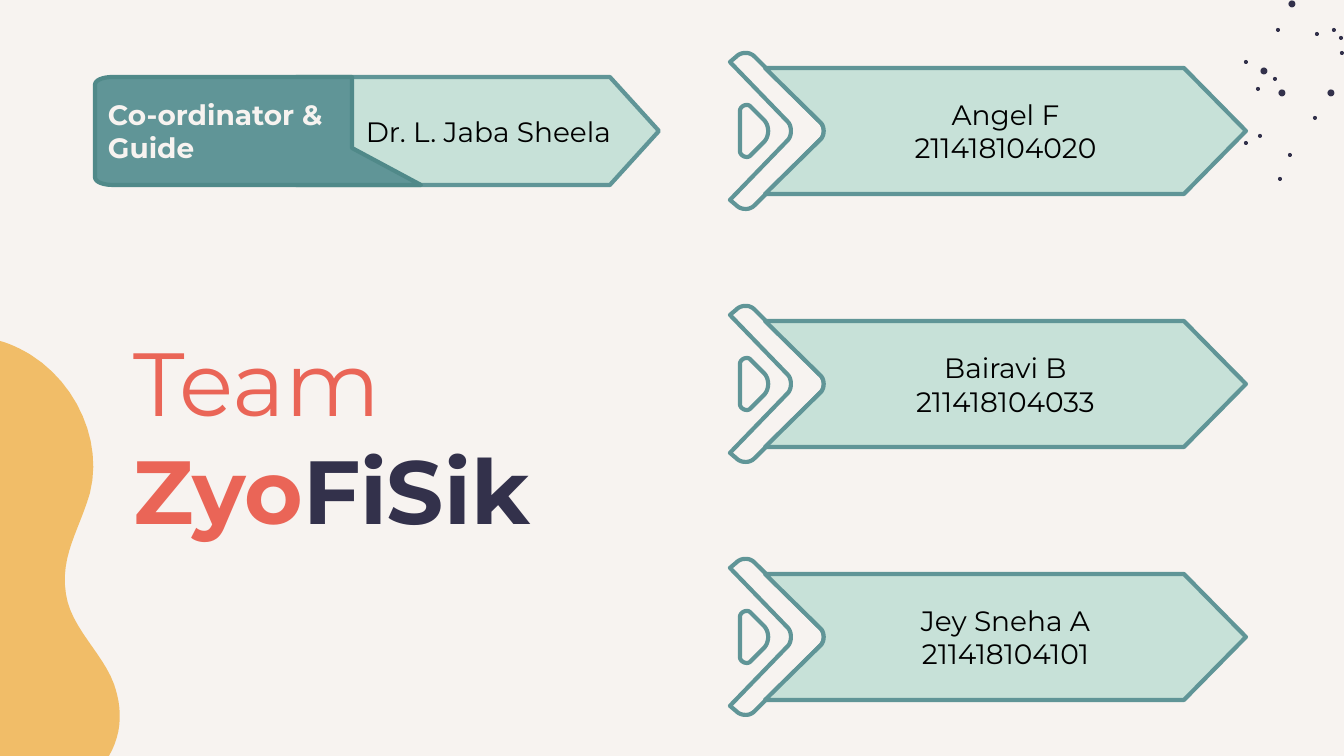
"""Build the team slide with its guide banner and three member badges."""
import pptx
import pptx.util
import pptx.dml.color
import pptx.enum.shapes
import pptx.enum.text

SCALE = 914400 / 134.4
WIDE, HIGH = 1344, 756
THEME = {
    "font": "Montserrat", "body": 15, "title": 48, "line": 2.25,
    "paper": "F7F3F0", "navy": "33314B", "coral": "EA6557", "sand": "F1BD68",
    "mint": "C7E1D8", "teal": "609597", "deep": "508989", "ink": "000000",
}

MEMBERS = [
    ("Angel F", "211418104020"),
    ("Bairavi B", "211418104033"),
    ("Jey Sneha A", "211418104101"),
]
GUIDE = ["Dr. L. Jaba Sheela"]
ROLE = ["Co-ordinator &", "Guide"]
TITLE = [[("Team", "coral")], [("Zyo", "coral"), ("FiSik", "navy")]]
TITLE_BOX = (120, 314, 597, 245)

DOTS = {
    4: [(1290, 155), (1280, 179), (1315, 118), (1246, 62), (1258, 89),
        (1275, 79), (1260, 136), (1246, 143), (1278, 30), (1342, 53),
        (1341, 38), (1334, 30), (1317, 34)],
    7: [(1331, 93), (1282, 93), (1264, 71), (1292, 4)],
}

# Two numbers draw a line to a point, six draw a cubic curve.
BLOB = [(0, 341), (11, 344, 21, 349, 31, 355), (77, 384, 103, 442, 90, 493),
        (79, 531, 60, 556, 66, 594), (71, 628, 102, 652, 114, 684),
        (122, 707, 123, 732, 109, 756), (0, 756)]
CHEVRON = [(746, -78), (742, -78, 739, -77, 736, -74), (730, -69), (788, -9),
           (792, -5, 792, 5, 788, 9), (730, 69), (736, 74),
           (739, 77, 742, 78, 746, 78), (749, 78, 752, 77, 755, 74), (820, 9),
           (825, 5, 825, -5, 820, -9), (755, -74),
           (752, -77, 749, -78, 746, -78)]
DROP = [(747, -26), (743, -26, 740, -23, 740, -20), (740, 20),
        (740, 23, 743, 26, 747, 26), (749, 26, 750, 25, 751, 24), (763, 12),
        (770, 6, 770, -6, 763, -12), (751, -24),
        (750, -25, 749, -26, 747, -26)]
ARROW = [(765, -63), (820, -9), (825, -5, 825, 5, 820, 9), (765, 63),
         (1184, 63), (1246, 0), (1184, -63)]
BANNER = [(296, -54), (336, -8), (340, -3, 340, 3, 336, 8), (296, 54),
          (610, 54), (659, 0), (610, -54)]
TAG = [(113, -54), (103, -54, 95, -51, 95, -46), (95, 46),
       (95, 51, 103, 54, 113, 54), (421, 54), (352, 17), (352, -54)]
MID, STEP, PAD = 131, 253, 13


def px(size):
    return pptx.util.Emu(round(size * SCALE))


def tint(name):
    return pptx.dml.color.RGBColor.from_string(THEME[name])


def paint(shape, fill=None, line=None):
    shape.shadow.inherit = False
    if fill:
        shape.fill.solid()
        shape.fill.fore_color.rgb = tint(fill)
    else:
        shape.fill.background()
    if line:
        shape.line.color.rgb = tint(line)
        shape.line.width = pptx.util.Pt(THEME["line"])
    else:
        shape.line.fill.background()


def curve(start, bend, steps=12):
    ends = [start, bend[:2], bend[2:4], bend[4:]]
    for i in range(1, steps + 1):
        t = i / steps
        mix = ((1 - t) ** 3, 3 * t * (1 - t) ** 2, 3 * t * t * (1 - t), t ** 3)
        yield tuple(sum(m * p[k] for m, p in zip(mix, ends)) for k in (0, 1))


def draw(shapes, trace, drop=0, fill=None, line=None):
    dots = [trace[0]]
    for part in trace[1:]:
        dots.extend([part] if len(part) == 2 else curve(dots[-1], part))
    dots = [(px(x), px(y + drop)) for x, y in dots]
    pen = shapes.build_freeform(*dots[0], scale=1.0)
    pen.add_line_segments(dots[1:], close=True)
    shape = pen.convert_to_shape()
    paint(shape, fill, line)
    return shape


def write(shape, rows, size, align="LEFT", anchor="MIDDLE", left=PAD, bold=()):
    frame = shape.text_frame
    frame.word_wrap = True
    frame.vertical_anchor = getattr(pptx.enum.text.MSO_ANCHOR, anchor)
    frame.margin_left = px(left)
    frame.margin_right = frame.margin_top = frame.margin_bottom = px(PAD)
    for i, row in enumerate(rows):
        para = frame.add_paragraph() if i else frame.paragraphs[0]
        para.alignment = getattr(pptx.enum.text.PP_ALIGN, align)
        para.font.name = THEME["font"]
        para.font.size = pptx.util.Pt(THEME[size])
        para.font.bold = i in bold
        para.font.color.rgb = tint(row[0][1])
        for text, color in row:
            run = para.add_run()
            run.text = text
            if color != row[0][1]:
                run.font.color.rgb = tint(color)


def plain(lines, color):
    return [[(text, color)] for text in lines]


def main():
    deck = pptx.Presentation()
    deck.slide_width, deck.slide_height = px(WIDE), px(HIGH)
    slide = deck.slides.add_slide(deck.slide_layouts[6])
    slide.background.fill.solid()
    slide.background.fill.fore_color.rgb = tint("paper")
    shapes = slide.shapes

    oval = pptx.enum.shapes.MSO_SHAPE.OVAL
    for size, spots in DOTS.items():
        for x, y in spots:
            box = (x - size / 2, y - size / 2, size, size)
            paint(shapes.add_shape(oval, *map(px, box)), "navy")
    draw(shapes, BLOB, fill="sand")

    for i, lines in enumerate(MEMBERS):
        mid = MID + i * STEP
        draw(shapes, CHEVRON, mid, line="teal")
        draw(shapes, DROP, mid, line="teal")
        badge = draw(shapes, ARROW, mid, "mint", "teal")
        write(badge, plain(lines, "ink"), "body", "CENTER")

    title = shapes.add_textbox(*map(px, TITLE_BOX))
    write(title, TITLE, "title", anchor="TOP", bold=(1,))

    banner = draw(shapes, BANNER, MID, "mint", "teal")
    write(banner, plain(GUIDE, "ink"), "body", "CENTER", left=35)
    tag = draw(shapes, TAG, MID, "teal", "deep")
    write(tag, plain(ROLE, "paper"), "body", bold=(0, 1))
    deck.save("out.pptx")


if __name__ == "__main__":
    main()
